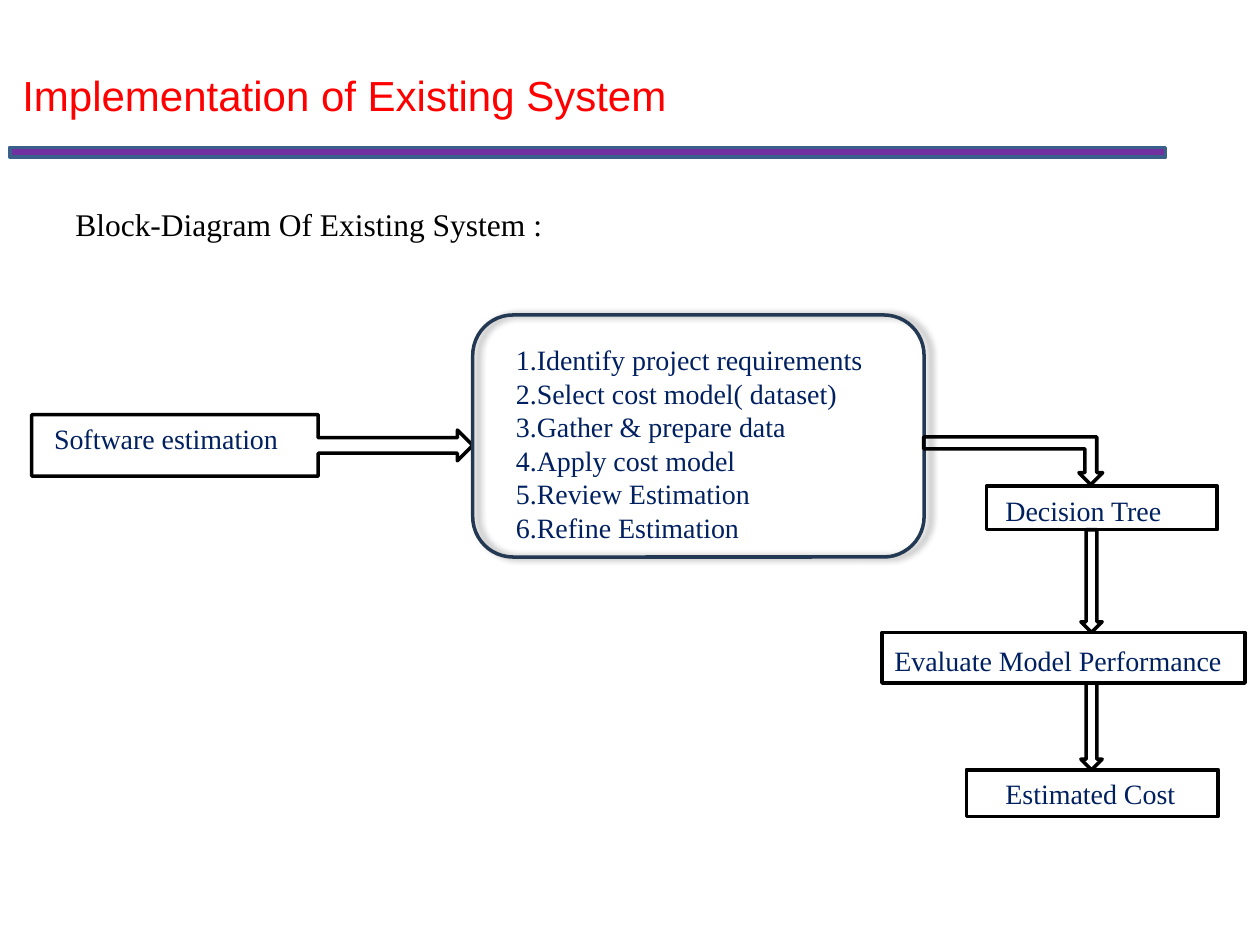
from lxml.etree import SubElement
from pptx import Presentation
from pptx.dml.color import RGBColor
from pptx.enum.shapes import MSO_SHAPE as Kind
from pptx.oxml.ns import qn
from pptx.util import Cm, Pt

BLACK = RGBColor(0x00, 0x00, 0x00)
RED = RGBColor(0xFF, 0x00, 0x00)
NAVY = RGBColor(0x00, 0x20, 0x60)
SLATE = RGBColor(0x23, 0x39, 0x53)
PURPLE = RGBColor(0x70, 0x30, 0xA0)
STEEL = RGBColor(0x3A, 0x5F, 0x8B)

STEPS = [
    "Identify project requirements",
    "Select cost model( dataset)",
    "Gather & prepare data",
    "Apply cost model",
    "Review Estimation",
    "Refine Estimation",
]


def add_text(slide, box, lines, size=16, font="Times New Roman", color=NAVY, inset=0.25):
    frame = slide.shapes.add_textbox(*map(Cm, box)).text_frame
    frame.word_wrap = True
    frame.margin_left = Cm(inset)
    for i, line in enumerate(lines):
        para = frame.paragraphs[0] if i == 0 else frame.add_paragraph()
        run = para.add_run()
        run.text = line
        run.font.size = Pt(size)
        run.font.name = font
        run.font.color.rgb = color


def add_shape(slide, kind, box, line=BLACK, fill=None):
    shape = slide.shapes.add_shape(kind, *map(Cm, box))
    shape.shadow.inherit = False
    if fill is None:
        shape.fill.background()
    else:
        shape.fill.solid()
        shape.fill.fore_color.rgb = fill
    shape.line.color.rgb = line
    shape.line.width = Pt(2)
    return shape


def add_shadow(shape):
    """Cast a soft shadow to the right of the shape."""
    effects = shape._element.spPr.find(qn("a:effectLst"))
    outer = SubElement(effects, qn("a:outerShdw"), blurRad=str(Pt(4)),
                       dist=str(Pt(3)), dir="0", rotWithShape="0")
    color = SubElement(outer, qn("a:srgbClr"), val=str(BLACK))
    SubElement(color, qn("a:alpha"), val="40000")


def header(slide, box):
    x, y, w, h = box
    add_text(slide, (x, y, w, 1.27), ["Implementation of Existing System"],
             size=24, font="Arial", color=RED)
    add_shape(slide, Kind.RECTANGLE, (x, y + 1.7, 23.3, 0.2), line=STEEL, fill=PURPLE)
    add_text(slide, (x + 1.07, y + 2.74, 22.86, 1.02),
             ["Block-Diagram Of Existing System :"], size=18, color=BLACK)


def source(slide, box):
    x, y, w, h = box
    add_shape(slide, Kind.RIGHT_ARROW_CALLOUT, box)
    add_text(slide, (x + 0.2, y + 0.02, 5.5, 0.94), ["Software estimation"])


def process(slide, box):
    x, y, w, h = box
    lines = [f"{n}.{step}" for n, step in enumerate(STEPS, 1)]
    add_text(slide, (x + 0.2, y + 0.43, w + 0.2, 4.37), lines, inset=0.67)
    add_shadow(add_shape(slide, Kind.ROUNDED_RECTANGLE, box, line=SLATE))


def stage(slide, box, label, dx, dy):
    """Draw an outlined stage with its label offset by dx, dy."""
    x, y, w, h = box
    add_text(slide, (x + dx, y + dy, max(w, 7.42) if dx == 0 else w, 0.94), [label])
    add_shape(slide, Kind.RECTANGLE, box)


def results(slide, box):
    """Draw the bent arrow and the column of stages it leads into."""
    x, y, w, h = box
    bent = add_shape(slide, Kind.BENT_UP_ARROW, (x, y, 3.61, 0.96))
    bent._element.spPr.xfrm.set("flipV", "1")
    stages = [
        ("Decision Tree", (x + 1.27, y + 0.99, 4.65, 0.88), 0.13, 0.03),
        ("Evaluate Model Performance", (x - 0.84, y + 3.94, 7.32, 1.02), 0, 0.1),
        ("Estimated Cost", (x + 0.86, y + 6.71, 5.08, 0.94), 0.54, 0),
    ]
    for label, place, dx, dy in stages:
        stage(slide, place, label, dx, dy)
    for (_, upper, *_), (_, lower, *_) in zip(stages, stages[1:]):
        top = upper[1] + upper[3]
        add_shape(slide, Kind.DOWN_ARROW, (x + 3.17, top, 0.43, lower[1] - top))


def main():
    deck = Presentation()
    deck.slide_width, deck.slide_height = Cm(25.4), Cm(19.05)
    slide = deck.slides.add_slide(deck.slide_layouts[6])
    header(slide, (0.2, 1.27, 24.97, 3.76))
    source(slide, (0.64, 8.36, 8.89, 1.24))
    process(slide, (9.53, 6.35, 9.1, 4.88))
    results(slide, (18.62, 8.81, 6.48, 7.65))
    deck.save("out.pptx")


if __name__ == "__main__":
    main()
